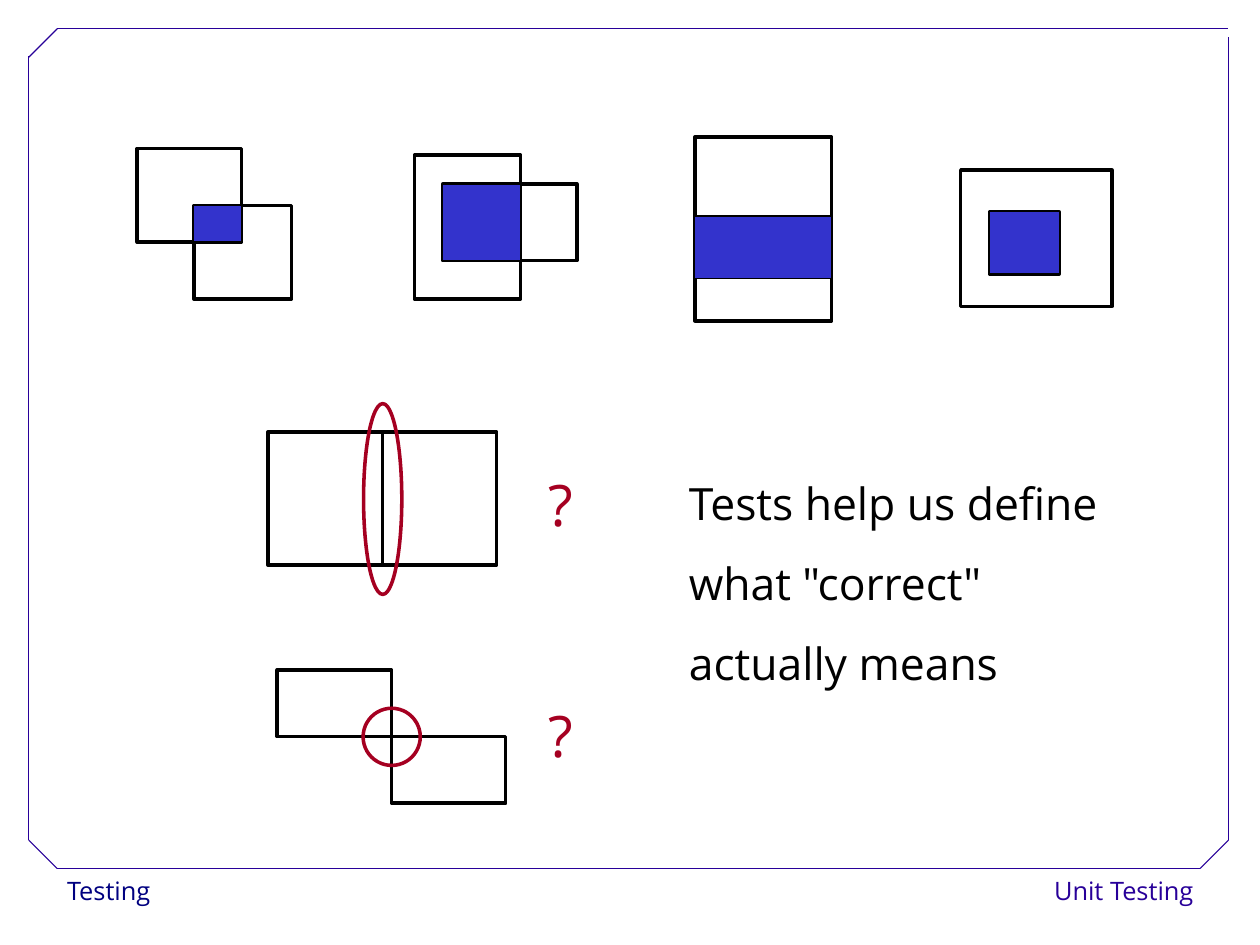
from lxml import etree
from pptx import Presentation
from pptx.dml.color import RGBColor
from pptx.enum.shapes import MSO_CONNECTOR, MSO_SHAPE
from pptx.enum.text import PP_ALIGN
from pptx.oxml.ns import qn
from pptx.util import Cm, Pt

STRAIGHT = MSO_CONNECTOR.STRAIGHT
RECTANGLE = MSO_SHAPE.RECTANGLE
OVAL = MSO_SHAPE.OVAL
LEFT = PP_ALIGN.LEFT
RIGHT = PP_ALIGN.RIGHT

BLACK = RGBColor(0x00, 0x00, 0x00)
NAVY = RGBColor(0x00, 0x00, 0x80)
INDIGO = RGBColor(0x28, 0x00, 0x99)
BLUE = RGBColor(0x33, 0x33, 0xCC)
RED = RGBColor(0xA5, 0x00, 0x21)

presentation = Presentation()
presentation.slide_width = Cm(28)
presentation.slide_height = Cm(21)
slide = presentation.slides.add_slide(presentation.slide_layouts[6])


def add_outline(kind, box, color, width=2.25, fill=None):
    shape = slide.shapes.add_shape(kind, *[Cm(length) for length in box])
    shape.shadow.inherit = False
    shape.line.color.rgb = color
    shape.line.width = Pt(width)
    if fill is None:
        shape.fill.background()
    else:
        shape.fill.solid()
        shape.fill.fore_color.rgb = fill


def add_text(box, lines, size, color, spacing, alignment=LEFT):
    text_box = slide.shapes.add_textbox(*[Cm(length) for length in box])
    text_frame = text_box.text_frame
    text_frame.word_wrap = True
    text_frame.text = "\n".join(lines)
    for paragraph in text_frame.paragraphs:
        paragraph.alignment = alignment
        paragraph.line_spacing = spacing
        paragraph.font.name = "Open Sans"
        paragraph.font.size = Pt(size)
        paragraph.font.color.rgb = color


add_text((1.24, 19.3, 5.46, 1.02), ["Testing"], 16, NAVY, 1.02)
add_text((22.27, 19.3, 4.5, 1.02), ["Unit Testing"], 16, INDIGO, 1.02, RIGHT)

frame_lines = [
    (1.27, 19.3, 26.67, 19.3),
    (0.64, 18.67, 0.64, 1.25),
    (1.27, 0.64, 27.3, 0.64),
    (27.3, 18.67, 27.3, 0.82),
    (0.64, 1.27, 1.27, 0.64),
    (26.67, 19.3, 27.3, 18.67),
    (0.64, 18.67, 1.27, 19.3),
]
for ends in frame_lines:
    connector = slide.shapes.add_connector(STRAIGHT, *[Cm(length) for length in ends])
    connector.line.color.rgb = INDIGO
    connector.line.width = Pt(0.75)
    etree.SubElement(connector._element.spPr, qn("a:effectLst"))

rectangles = [
    (3.05, 3.3, 2.32, 2.08),
    (4.31, 4.57, 2.17, 2.08),
    (9.21, 3.45, 2.36, 3.2),
    (9.84, 4.09, 2.98, 1.7),
    (15.44, 3.05, 3.04, 3.05),
    (15.44, 4.81, 3.04, 2.32),
    (21.35, 3.78, 3.36, 3.03),
    (21.99, 4.71, 1.55, 1.38),
    (5.96, 9.6, 2.54, 2.96),
    (8.5, 9.6, 2.54, 2.96),
    (6.16, 14.89, 2.54, 1.48),
    (8.7, 16.37, 2.54, 1.48),
]
for box in rectangles:
    add_outline(RECTANGLE, box, BLACK)

overlaps = [
    (4.31, 4.57, 1.06, 0.81),
    (9.84, 4.09, 1.73, 1.7),
    (15.44, 4.81, 3.04, 1.38),
    (21.99, 4.71, 1.55, 1.38),
]
for box in overlaps:
    add_outline(RECTANGLE, box, BLACK, 0.75, BLUE)

for box in [(8.08, 8.97, 0.85, 4.24), (8.07, 15.74, 1.27, 1.27)]:
    add_outline(OVAL, box, RED)

for top in (9.55, 14.68):
    add_text((11.94, top, 3.58, 2.54), ["?"], 36, RED, 1.5)
add_text(
    (15.06, 9.86, 12.24, 5.59),
    ["Tests help us define", 'what "correct"', "actually means"],
    28, BLACK, 1.5,
)

presentation.save("out.pptx")
